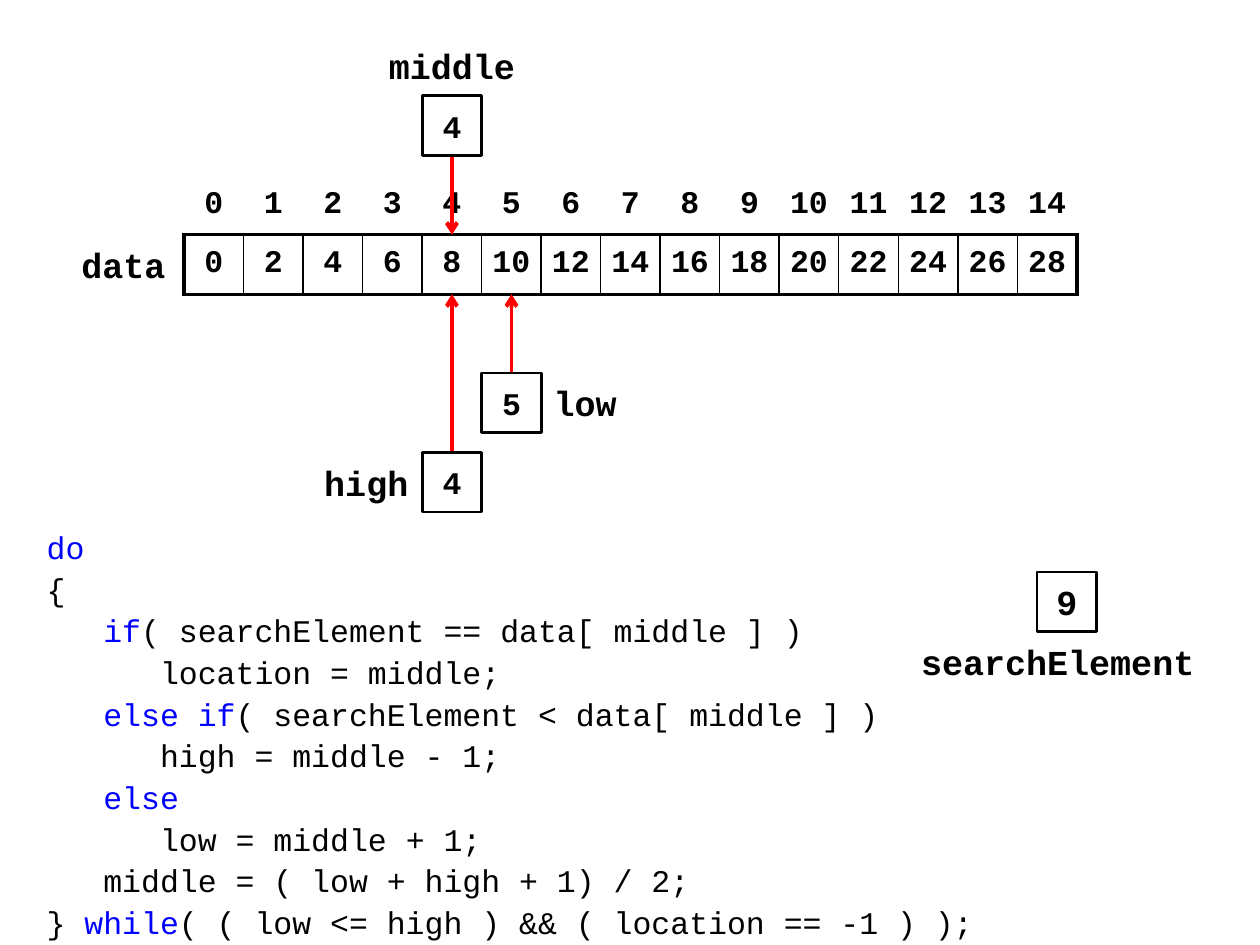
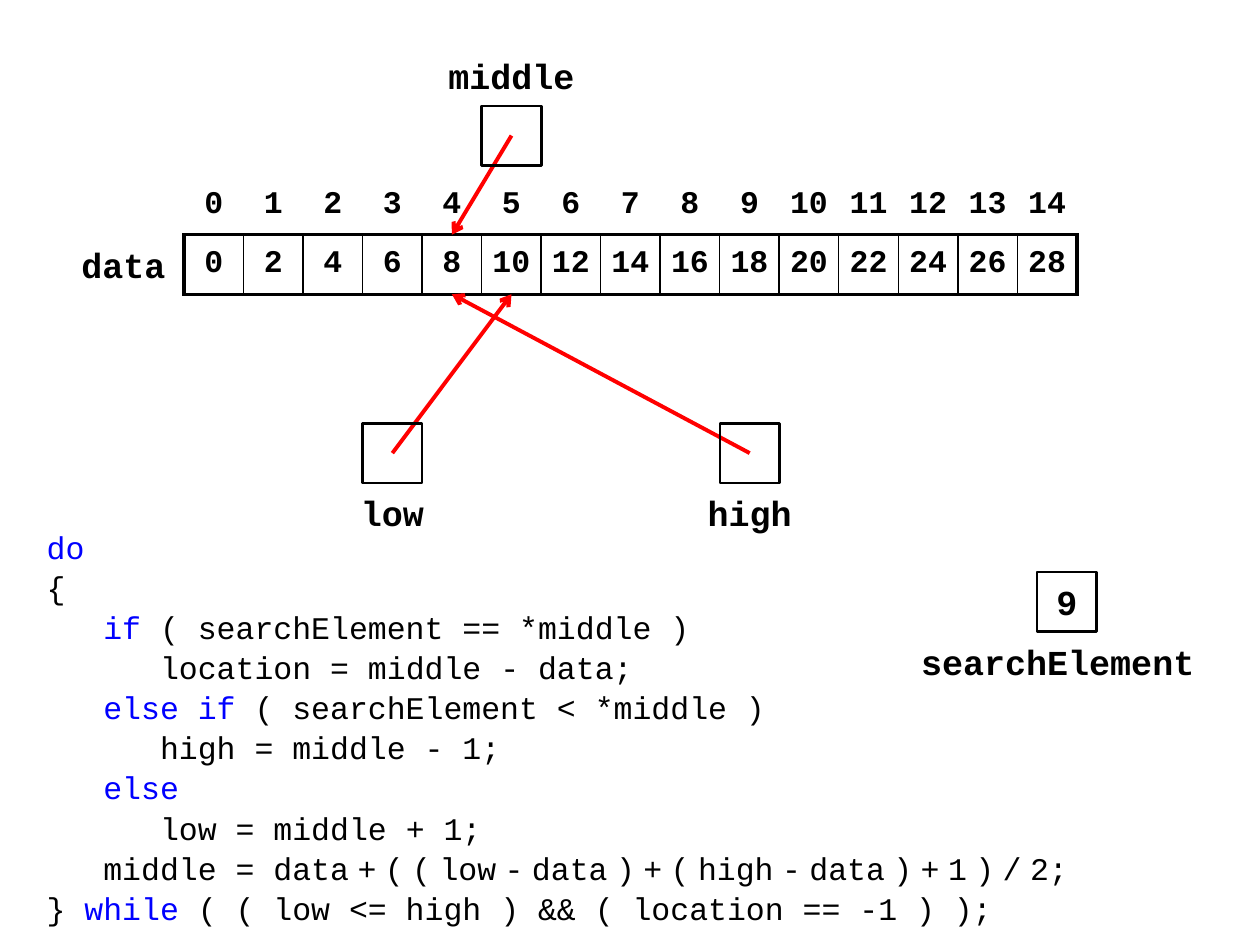
from lxml import etree
from pptx import Presentation
from pptx import util as u
from pptx.dml import color
from pptx.enum import shapes, text
from pptx.oxml import ns

COLORS = {"ink": "000000", "keyword": "0000FF", "arrow": "FF0000"}
FONT = "Courier New"
CODE = {"size": u.Pt(18), "bold": False}
VALUE = {"size": u.Pt(18), "bold": True}
LABEL = {"size": u.Pt(20), "bold": True}
CENTER = text.PP_ALIGN.CENTER
LEFT = text.PP_ALIGN.LEFT
RIGHT = text.PP_ALIGN.RIGHT

CELLS = 15
TABLE_LEFT, TABLE_TOP, TABLE_WIDTH = 1.46, 1.39, 7.09
CELL = TABLE_WIDTH / CELLS
DATA_TOP = TABLE_TOP + CELL
DATA_BOTTOM = DATA_TOP + CELL
NO_TABLE_STYLE = "{2D5ABB26-0587-4C30-8999-92F81FD0307C}"

INDEX_CODE = """`do`
{
   `if`( searchElement == data[ middle ] )
      location = middle;
   `else if`( searchElement < data[ middle ] )
      high = middle - 1;
   `else`
      low = middle + 1;
   middle = ( low + high + 1) / 2;
} `while`( ( low <= high ) && ( location == -1 ) );"""

POINTER_CODE = """`do`
{
   `if` ( searchElement == *middle )
      location = middle - data;
   `else if` ( searchElement < *middle )
      high = middle - 1;
   `else`
      low = middle + 1;
   middle = data~+~(~(~low~-~data~)~+~(~high~-~data~)~+~1~)~/~2;
} `while` ( ( low <= high ) && ( location == -1 ) );"""


def rgb(name):
    return color.RGBColor.from_string(COLORS[name])


def apply(target, values):
    for name, value in values.items():
        setattr(target, name, value)


def place(shape, left, top, width, height):
    apply(shape, {"left": u.Inches(left), "top": u.Inches(top),
                  "width": u.Inches(width), "height": u.Inches(height)})


def add_run(paragraph, words, style, ink="ink"):
    run = paragraph.add_run()
    run.text = words
    apply(run.font, {"name": FONT, **style})
    run.font.color.rgb = rgb(ink)


def format_paragraph(paragraph, align, before, hanging=0):
    apply(paragraph, {"alignment": align, "space_before": u.Pt(before),
                      "line_spacing": 1.0})
    properties = paragraph._p.get_or_add_pPr()
    properties.set("marL", str(u.Inches(hanging)))
    properties.set("indent", str(u.Inches(-hanging)))
    etree.SubElement(properties, ns.qn("a:buNone"))


def write(shape, words, style, align):
    frame = shape.text_frame
    apply(frame, {"word_wrap": True, "auto_size": text.MSO_AUTO_SIZE.NONE,
                  "vertical_anchor": text.MSO_ANCHOR.MIDDLE})
    paragraph = frame.paragraphs[0]
    format_paragraph(paragraph, align, 3)
    add_run(paragraph, words, style)


def add_label(slide, words, left, top, width, align=CENTER):
    label = slide.shapes.add_textbox(0, 0, 0, 0)
    place(label, left, top, width, CELL)
    write(label, words, LABEL, align)


def add_box(slide, left, top, value="", style=VALUE):
    box = slide.shapes.add_shape(shapes.MSO_SHAPE.RECTANGLE, 0, 0, 0, 0)
    place(box, left, top, CELL, CELL)
    box.shadow.inherit = False
    box.fill.background()
    box.line.color.rgb = rgb("ink")
    box.line.width = u.Pt(1.5)
    if value:
        write(box, value, style, CENTER)


def cell_left(index):
    return TABLE_LEFT + index * CELL


def cell_middle(index):
    return cell_left(index + 0.5)


def add_arrow(slide, start, end):
    arrow = slide.shapes.add_connector(
        shapes.MSO_CONNECTOR.STRAIGHT, *(u.Inches(n) for n in (*start, *end)))
    arrow.line.color.rgb = rgb("arrow")
    arrow.line.width = u.Pt(2.25)
    etree.SubElement(arrow.line._get_or_add_ln(), ns.qn("a:tailEnd"), type="arrow")
    etree.SubElement(arrow._element.spPr, ns.qn("a:effectLst"))


def set_borders(cell, widths):
    properties = cell._tc.get_or_add_tcPr()
    for side, width in zip("LRTB", widths):
        line = etree.SubElement(properties, ns.qn("a:ln" + side), w=str(u.Pt(width)))
        fill = etree.SubElement(line, ns.qn("a:solidFill"))
        etree.SubElement(fill, ns.qn("a:srgbClr"), val=COLORS["ink"])


def add_array(slide):
    frame = slide.shapes.add_table(
        2, CELLS, u.Inches(TABLE_LEFT), u.Inches(TABLE_TOP),
        u.Inches(TABLE_WIDTH), u.Inches(2 * CELL))
    table = frame.table
    apply(table, {"first_row": False, "horz_banding": False})
    table._tbl.tblPr.find(ns.qn("a:tableStyleId")).text = NO_TABLE_STYLE
    for row in table.rows:
        row.height = u.Inches(CELL)
    for index in range(CELLS):
        table.columns[index].width = u.Inches(CELL)
        for row, value in enumerate((index, 2 * index)):
            cell = table.cell(row, index)
            apply(cell, {"margin_left": u.Inches(0.08), "margin_right": u.Inches(0.08),
                         "vertical_anchor": text.MSO_ANCHOR.MIDDLE})
            paragraph = cell.text_frame.paragraphs[0]
            paragraph.alignment = CENTER
            add_run(paragraph, str(value), VALUE)
            if row == 1:
                set_borders(cell, (2.25 if index == 0 else 1,
                                   2.25 if index == CELLS - 1 else 1, 2.25, 2.25))
            cell.fill.background()
    add_label(slide, "data", 0.51, DATA_TOP, 0.94)


def write_code(shape, code, before):
    place(shape, 0.27, 4.14, 8.47, 3.15)
    frame = shape.text_frame
    apply(frame, {"word_wrap": True, "auto_size": text.MSO_AUTO_SIZE.NONE,
                  "vertical_anchor": text.MSO_ANCHOR.TOP})
    for number, line in enumerate(code.split("\n")):
        paragraph = frame.add_paragraph() if number else frame.paragraphs[0]
        format_paragraph(paragraph, LEFT, before, 0.59)
        for part_number, part in enumerate(line.split("`")):
            ink = "keyword" if part_number % 2 else "ink"
            for piece_number, piece in enumerate(part.split("~")):
                if piece_number:
                    add_run(paragraph, " ", {**CODE, "size": u.Pt(8)}, ink)
                if piece:
                    add_run(paragraph, piece, CODE, ink)


def add_search_slide(presentation, code, before):
    slide = presentation.slides.add_slide(presentation.slide_layouts[3])
    title = slide.shapes.title._element
    title.getparent().remove(title)
    write_code(slide.placeholders[1], code, before)
    caption = slide.placeholders[2]
    place(caption, 7.21, 5.01, 2.52, CELL)
    write(caption, "searchElement", LABEL, LEFT)
    add_box(slide, 8.23, 4.54, "9", LABEL)
    add_array(slide)
    return slide


def add_index_slide(presentation):
    slide = add_search_slide(presentation, INDEX_CODE, 2.2)
    middle_top, low_top, high_top = 0.76, 2.96, 3.59
    for index, start, end in ((5, low_top, DATA_BOTTOM), (4, high_top, DATA_BOTTOM),
                              (4, middle_top + CELL, DATA_TOP)):
        add_arrow(slide, (cell_middle(index), start), (cell_middle(index), end))
    for index, top in ((5, low_top), (4, high_top), (4, middle_top)):
        add_box(slide, cell_left(index), top, str(index))
    add_label(slide, "low", cell_left(6), low_top, 0.79, LEFT)
    add_label(slide, "high", 2.4, high_top, 0.94, RIGHT)
    add_label(slide, "middle", cell_middle(4) - 0.63, 0.28, 1.26)


def add_pointer_slide(presentation):
    slide = add_search_slide(presentation, POINTER_CODE, 1.3)
    pointers = (
        ("low", 3, 3.36, 3.83, 0.79, (5, DATA_BOTTOM)),
        ("middle", 5, 0.84, 0.36, 1.26, (4, DATA_TOP)),
        ("high", 9, 3.36, 3.83, 0.94, (4, DATA_BOTTOM)),
    )
    for name, column, top, label_top, width, (target, edge) in pointers:
        center = cell_middle(column)
        add_label(slide, name, center - width / 2, label_top, width)
        add_arrow(slide, (center, top + CELL / 2), (cell_middle(target), edge))
        add_box(slide, cell_left(column), top)


def main():
    presentation = Presentation()
    apply(presentation, {"slide_width": u.Inches(10), "slide_height": u.Inches(7.5)})
    add_index_slide(presentation)
    add_pointer_slide(presentation)
    presentation.save("out.pptx")


main()
